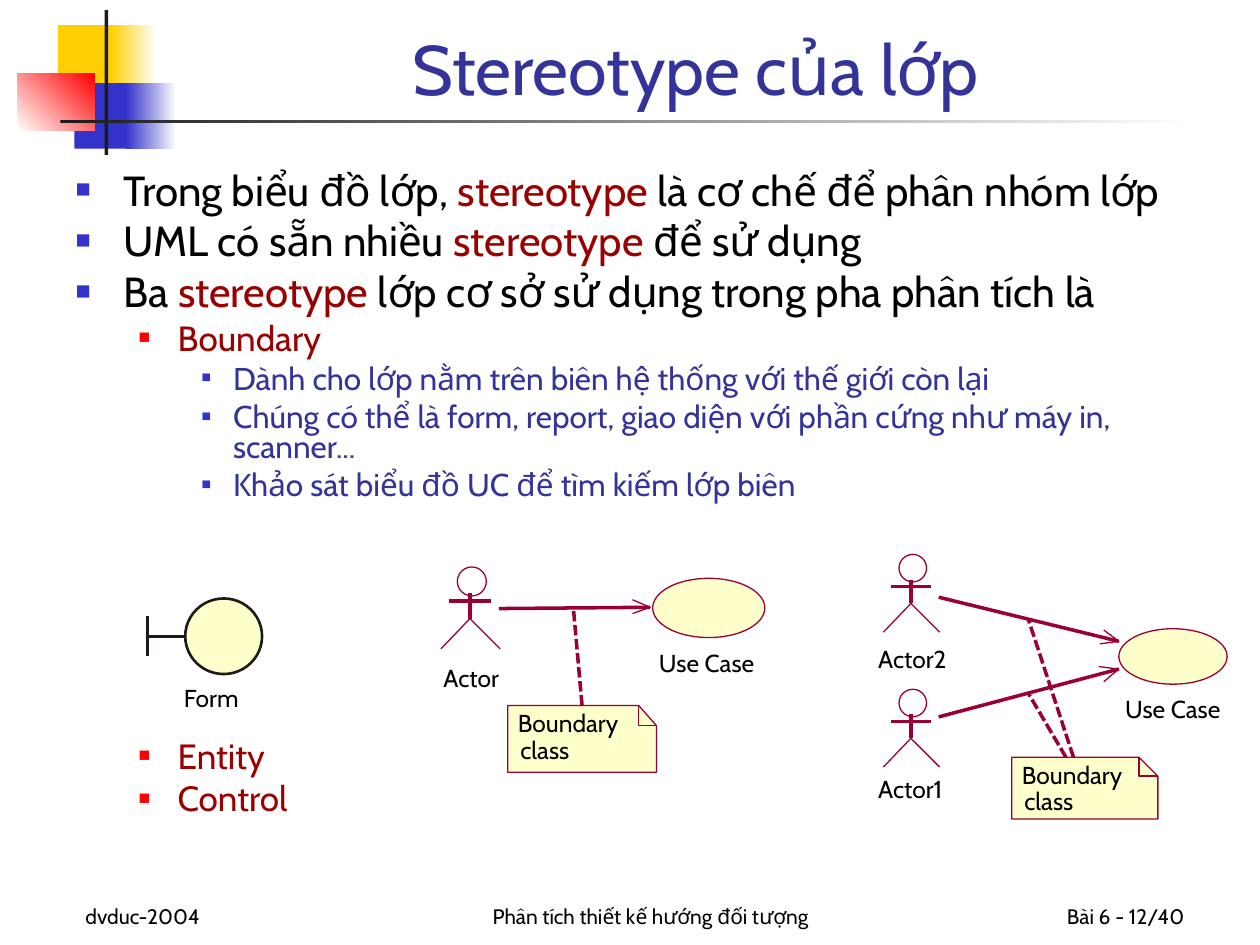
from lxml import etree
from pptx import Presentation
from pptx import util as u
from pptx.dml.color import RGBColor
from pptx.enum import dml, shapes, text
from pptx.oxml import ns

Inches, Pt = u.Inches, u.Pt
FONT = "Cabin"
BLACK, WHITE = RGBColor(0, 0, 0), RGBColor(255, 255, 255)
INK, OUTLINE = RGBColor(0x1F, 0x1A, 0x17), RGBColor(0x99, 0, 0x33)
CHARCOAL, CREAM = RGBColor(0x1C, 0x1C, 0x1C), RGBColor(0xFF, 0xFF, 0xCC)
YELLOW, BLUE = RGBColor(0xFF, 0xCF, 0x01), RGBColor(0x33, 0x33, 0xCC)
RED, NAVY, MAROON = RGBColor(255, 0, 0), RGBColor(0x33, 0x33, 0x99), RGBColor(0x99, 0, 0)

TITLE = "Stereotype của lớp"
# level, text (emphasis between asterisks), space before in points (None: the level's own)
BODY = [
    (0, "Trong biểu đồ lớp, *stereotype* là cơ chế để phân nhóm lớp", None),
    (0, "UML có sẵn nhiều *stereotype* để sử dụng", None),
    (0, "Ba *stereotype* lớp cơ sở sử dụng trong pha phân tích là", None),
    (1, "Boundary", None),
    (2, "Dành cho lớp nằm trên biên hệ thống với thế giới còn lại", None),
    (2, "Chúng có thể là form, report, giao diện với phần cứng như máy in, scanner...", None),
    (2, "Khảo sát biểu đồ UC để tìm kiếm lớp biên", None),
    (1, "Entity", 137),
    (1, "Control", None),
]
LEVELS = [
    dict(size=24, color=BLACK, margin=0.38, hang=0.38, before=6, bullet=BLUE, percent=60),
    dict(size=20, color=MAROON, margin=0.81, hang=0.31, before=5, bullet=RED, percent=55),
    dict(size=18, color=NAVY, margin=1.25, hang=0.25, before=4.5, bullet=BLUE, percent=50),
]
# left, top, width, height, colours, angle
DECORATION = [
    (0.46, 0.2, 0.48, 0.52, [YELLOW], 0),
    (0.88, 0.2, 0.36, 0.52, [YELLOW, WHITE], 0),
    (0.59, 0.66, 0.46, 0.52, [BLUE], 0),
    (1, 0.66, 0.4, 0.52, [BLUE, WHITE], 0),
    (0.14, 0.58, 0.61, 0.46, [WHITE, RED], 45),
    (0.83, 0.08, 0.03, 1.15, [CHARCOAL], 0),
    (0.48, 0.95, 9, 0.03, [CHARCOAL, WHITE], 0),
]
ALIGN = text.PP_ALIGN
FOOTERS = [
    (0.58, 2.08, "dvduc-2004", ALIGN.LEFT),
    (3.25, 3.83, "Phân tích thiết kế hướng đối tượng", ALIGN.CENTER),
    (7.42, 2.08, "Bài 6 - 12/40", ALIGN.RIGHT),
]
# Actors: centre, top, scale, label, label position
# Links: start, tip, the two barb ends; notes: left, top, width, height, fold width and height
DIAGRAMS = [
    dict(actors=[(3.73, 4.5, 1, "Actor", 3.52, 5.26)],
         case=(5.18, 4.59, 0.89, 0.47), case_label=(5.23, 5.14),
         links=[((3.96, 4.83), (5.16, 4.82), (5.02, 4.87), (5.02, 4.76))],
         note=(4.03, 5.6, 1.18, 0.53, 0.14, 0.16),
         anchors=[((4.62, 5.6), (4.55, 4.82))]),
    dict(actors=[(7.23, 5.47, 0.95, "Actor1", 6.97, 6.14),
                 (7.23, 4.4, 0.95, "Actor2", 6.97, 5.11)],
         case=(8.88, 4.99, 0.86, 0.44), case_label=(8.93, 5.51),
         links=[((7.45, 5.69), (8.88, 5.31), (8.76, 5.41), (8.72, 5.29)),
                ((7.45, 4.74), (8.88, 5.09), (8.76, 5), (8.73, 5.11))],
         note=(8.03, 6.01, 1.16, 0.49, 0.15, 0.15),
         anchors=[((8.46, 6.01), (8.16, 5.5)), ((8.52, 6.01), (8.16, 4.91))]),
]


def apply(target, **values):
    for name, value in values.items():
        setattr(target, name, value)


def add_run(paragraph, words, size, color):
    run = paragraph.add_run()
    run.text = words
    apply(run.font, name=FONT, size=Pt(size))
    run.font.color.rgb = color


def style(shape, fill=None, color=None, width=0):
    shape.shadow.inherit = False
    if fill is None:
        shape.fill.background()
    else:
        shape.fill.solid()
        shape.fill.fore_color.rgb = fill
    if color is None:
        shape.line.fill.background()
    else:
        shape.line.color.rgb = color
        shape.line.width = Pt(width)


def add_line(parent, start, end, color=OUTLINE, width=0, dashed=False):
    line = parent.shapes.add_connector(
        shapes.MSO_CONNECTOR.STRAIGHT, *map(Inches, (*start, *end)))
    line.line.color.rgb = color
    line.line.width = Pt(width)
    if dashed:
        line.line.dash_style = dml.MSO_LINE.SQUARE_DOT
    etree.SubElement(line.element.spPr, ns.qn("a:effectLst"))


def add_outline(parent, points, fill=None, close=False):
    first, *others = [tuple(map(Inches, point)) for point in points]
    builder = parent.shapes.build_freeform(*first)
    builder.add_line_segments(others, close=close)
    style(builder.convert_to_shape(), fill, OUTLINE)


def add_ellipse(parent, box, fill=None, color=OUTLINE, width=0):
    ellipse = parent.shapes.add_shape(shapes.MSO_SHAPE.OVAL, *map(Inches, box))
    style(ellipse, fill, color, width)


def add_label(parent, left, top, words, width=0.9):
    box = parent.shapes.add_textbox(*map(Inches, (left, top, width, 0.23)))
    apply(box.text_frame, margin_left=0, margin_right=0, margin_top=0, margin_bottom=0,
          word_wrap=False)
    add_run(box.text_frame.paragraphs[0], words, 14, BLACK)


def add_actor(parent, center, top, scale, name, label_left, label_top):
    def at(x, y):
        return center + x * scale, top + y * scale

    add_ellipse(parent, (*at(-0.1, 0), 0.23 * scale, 0.23 * scale))
    add_line(parent, at(0, 0.21), at(0, 0.41))
    add_line(parent, at(-0.17, 0.27), at(0.17, 0.27))
    add_outline(parent, [at(-0.23, 0.65), at(0, 0.41), at(0.24, 0.65)])
    add_label(parent, label_left, label_top, name, 0.6)


def add_note(parent, left, top, width, height, fold_width, fold_height):
    right, bottom = left + width, top + height
    fold = [(right - fold_width, top), (right, top + fold_height)]
    add_outline(parent, [(left, top), *fold, (right, bottom), (left, bottom)], CREAM, True)
    add_outline(parent, [fold[0], (right - fold_width, top + fold_height), fold[1]])
    add_label(parent, left + 0.08, top + 0.02, "Boundary")
    add_label(parent, left + 0.1, top + 0.23, "class", 0.44)


def add_bullet(paragraph, level):
    properties = paragraph._p.get_or_add_pPr()
    properties.set("marL", str(Inches(level["margin"])))
    properties.set("indent", str(-Inches(level["hang"])))
    color = etree.SubElement(properties, ns.qn("a:buClr"))
    etree.SubElement(color, ns.qn("a:srgbClr"), val=str(level["bullet"]))
    etree.SubElement(properties, ns.qn("a:buSzPct"), val=str(level["percent"] * 1000))
    etree.SubElement(properties, ns.qn("a:buFont"), typeface="Arial")
    etree.SubElement(properties, ns.qn("a:buChar"), char="■")


def place(shape, left, top, width, height):
    apply(shape, left=Inches(left), top=Inches(top), width=Inches(width), height=Inches(height))
    apply(shape.text_frame, auto_size=text.MSO_AUTO_SIZE.NONE, word_wrap=True)


presentation = Presentation()
apply(presentation, slide_width=Inches(10), slide_height=Inches(7.5))
slide = presentation.slides.add_slide(presentation.slide_layouts[1])

for *box, colors, angle in DECORATION:
    block = slide.shapes.add_shape(shapes.MSO_SHAPE.RECTANGLE, *map(Inches, box))
    style(block, colors[0])
    if len(colors) > 1:
        block.fill.gradient()
        block.fill.gradient_angle = angle
        for stop, color in zip(block.fill.gradient_stops, colors):
            stop.color.rgb = color

title, body = slide.shapes.title, slide.placeholders[1]
place(title, 1.26, 0.08, 8.52, 0.84)
title.text_frame.vertical_anchor = text.MSO_ANCHOR.BOTTOM
title.text_frame.paragraphs[0].alignment = ALIGN.CENTER
add_run(title.text_frame.paragraphs[0], TITLE, 40, NAVY)

place(body, 0.5, 1.33, 9.29, 5.83)
for index, (depth, words, before) in enumerate(BODY):
    frame, level = body.text_frame, LEVELS[depth]
    paragraph = frame.add_paragraph() if index else frame.paragraphs[0]
    apply(paragraph, level=depth, line_spacing=0.8, space_before=Pt(before or level["before"]))
    add_bullet(paragraph, level)
    for part, piece in enumerate(words.split("*")):
        add_run(paragraph, piece, level["size"], MAROON if part % 2 else level["color"])

for left, width, words, alignment in FOOTERS:
    footer = slide.shapes.add_textbox(0, 0, 0, 0)
    place(footer, left, 6.92, width, 0.5)
    footer.text_frame.vertical_anchor = text.MSO_ANCHOR.BOTTOM
    footer.text_frame.paragraphs[0].alignment = alignment
    add_run(footer.text_frame.paragraphs[0], words, 12, BLACK)

form = slide.shapes.add_group_shape()
add_ellipse(form, (1.47, 4.75, 0.61, 0.6), CREAM, INK, 1.5)
add_line(form, (1.17, 4.89), (1.17, 5.21), INK, 1.5)
add_line(form, (1.17, 5.05), (1.47, 5.05), INK, 1.5)
add_label(form, 1.46, 5.42, "Form", 0.48)

for diagram in DIAGRAMS:
    group = slide.shapes.add_group_shape()
    for actor in diagram["actors"]:
        add_actor(group, *actor)
    add_ellipse(group, diagram["case"], CREAM)
    add_label(group, *diagram["case_label"], "Use Case", 0.83)
    for start, tip, *barbs in diagram["links"]:
        add_line(group, start, tip)
        add_outline(group, [barbs[0], tip, barbs[1]])
    add_note(group, *diagram["note"])
    for start, end in diagram["anchors"]:
        add_line(group, start, end, dashed=True)

presentation.save("out.pptx")
